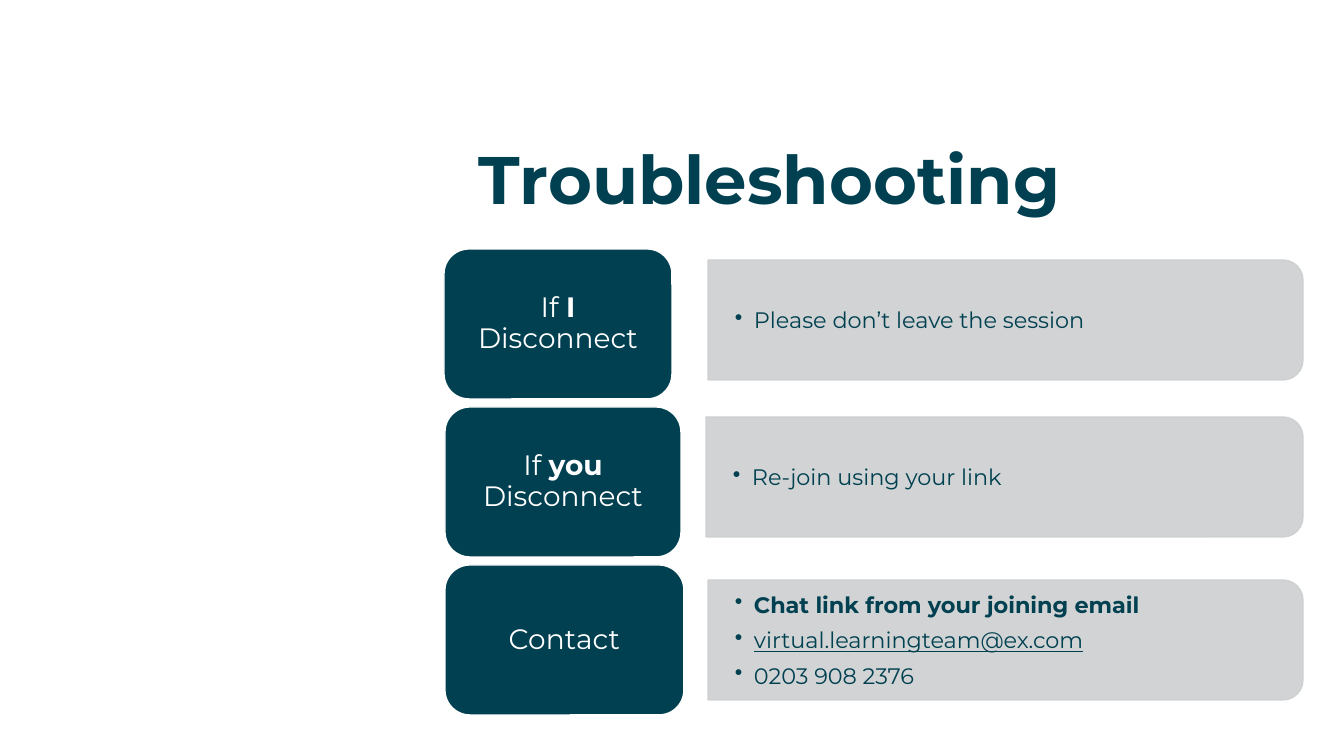
from lxml import etree
from pptx import Presentation
from pptx.dml.color import RGBColor
from pptx.enum.shapes import MSO_SHAPE
from pptx.enum.text import MSO_ANCHOR, PP_ALIGN
from pptx.oxml.ns import qn
from pptx.util import Emu, Pt

ROUND = MSO_SHAPE.ROUNDED_RECTANGLE
ROUND_TOP = MSO_SHAPE.ROUND_2_SAME_RECTANGLE
MIDDLE, TOP = MSO_ANCHOR.MIDDLE, MSO_ANCHOR.TOP
CENTER, LEFT = PP_ALIGN.CENTER, PP_ALIGN.LEFT

FONT = "Montserrat"
TEAL, GREY, WHITE = "004050", "CCCFD0", "FFFFFF"

TITLE = "Troubleshooting"
# Label runs and panel lines are (text, style); style is "", "b" or "u"
ROWS = [
    {"label": [("If ", ""), ("I", "b"), (" Disconnect", "")],
     "label_x": 444, "label_w": 228, "panel_x": 708, "panel_mid": 320,
     "lines": [("Please don’t leave the session", "")]},
    {"label": [("If ", ""), ("you", "b"), (" Disconnect", "")],
     "label_x": 445, "label_w": 236, "panel_x": 706, "panel_mid": 477,
     "lines": [("Re-join using your link", "")]},
    {"label": [("Contact", "")],
     "label_x": 445, "label_w": 239, "panel_x": 708, "panel_mid": 640,
     "lines": [("Chat link from your joining email", "b"),
               ("virtual.learningteam@ex.com", "u"),
               ("0203 908 2376", "")]},
]
LABEL_TOP, LABEL_H, LABEL_PITCH = 249, 150, 158
PANEL_RIGHT, PANEL_H = 1303, 120
TEXT_H, TEXT_TRIM, BULLET_INDENT = 109, 6, 19


def px(n):
    return Emu(round(n * 914400 / 100.8))


def rgb(color):
    return RGBColor.from_string(color)


def add_run(p, text, size, color, style=""):
    r = p.add_run()
    r.text = text
    r.font.name, r.font.size = FONT, Pt(size)
    r.font.color.rgb = rgb(color)
    r.font.bold = style == "b"
    r.font.underline = style == "u"


def set_frame(tf, anchor, inset_x, inset_y):
    tf.word_wrap = True
    tf.vertical_anchor = anchor
    tf.margin_left = tf.margin_right = px(inset_x)
    tf.margin_top = tf.margin_bottom = px(inset_y)


def add_box(s, kind, x, y, w, h, fill, line):
    sp = s.shapes.add_shape(kind, px(x), px(y), px(w), px(h))
    sp.shadow.inherit = False
    sp.fill.solid()
    sp.fill.fore_color.rgb = rgb(fill)
    sp.line.color.rgb = rgb(line)
    sp.line.width = Pt(1)
    return sp


def add_bullet(p):
    pPr = p._p.get_or_add_pPr()
    pPr.set("marL", str(px(BULLET_INDENT)))
    pPr.set("indent", str(-px(BULLET_INDENT)))
    etree.SubElement(pPr, qn("a:buChar")).set("char", "•")


def add_panel(s, x, mid, lines):
    """Grey bar rounded on its right side, with a bulleted list over it."""
    w = PANEL_RIGHT - x
    # The bar is drawn upright around its centre, then turned a quarter
    bar = add_box(s, ROUND_TOP, x + (w - PANEL_H) / 2, mid - w / 2,
                  PANEL_H, w, GREY, GREY)
    bar.rotation = 90
    for color in bar._element.spPr.iter(qn("a:srgbClr")):
        etree.SubElement(color, qn("a:alpha")).set("val", "90000")

    box = s.shapes.add_textbox(px(x), px(mid - TEXT_H / 2),
                               px(w - TEXT_TRIM), px(TEXT_H))
    tf = box.text_frame
    set_frame(tf, MIDDLE, 27, 14)
    for i, (text, style) in enumerate(lines):
        p = tf.add_paragraph() if i else tf.paragraphs[0]
        add_bullet(p)
        p.space_after = Pt(6)
        add_run(p, text, 16, TEAL, style)


def add_label(s, x, y, w, runs):
    sp = add_box(s, ROUND, x, y, w, LABEL_H, TEAL, WHITE)
    set_frame(sp.text_frame, MIDDLE, 10, 4)
    p = sp.text_frame.paragraphs[0]
    p.alignment, p.line_spacing = CENTER, 0.9
    for text, style in runs:
        add_run(p, text, 20, WHITE, style)


def add_title(s):
    title = s.shapes.title
    title.left, title.top, title.width, title.height = map(px, (469, 148, 813, 75))
    set_frame(title.text_frame, TOP, 10, 5)
    p = title.text_frame.paragraphs[0]
    p.alignment, p.line_spacing = LEFT, 0.8
    add_run(p, TITLE, 48, TEAL, "b")


def main():
    prs = Presentation()
    prs.slide_width, prs.slide_height = px(1344), px(756)
    s = prs.slides.add_slide(prs.slide_layouts[5])
    add_title(s)
    for i, row in enumerate(ROWS):
        add_panel(s, row["panel_x"], row["panel_mid"], row["lines"])
        add_label(s, row["label_x"], LABEL_TOP + i * LABEL_PITCH,
                  row["label_w"], row["label"])
    prs.save("out.pptx")


if __name__ == "__main__":
    main()
